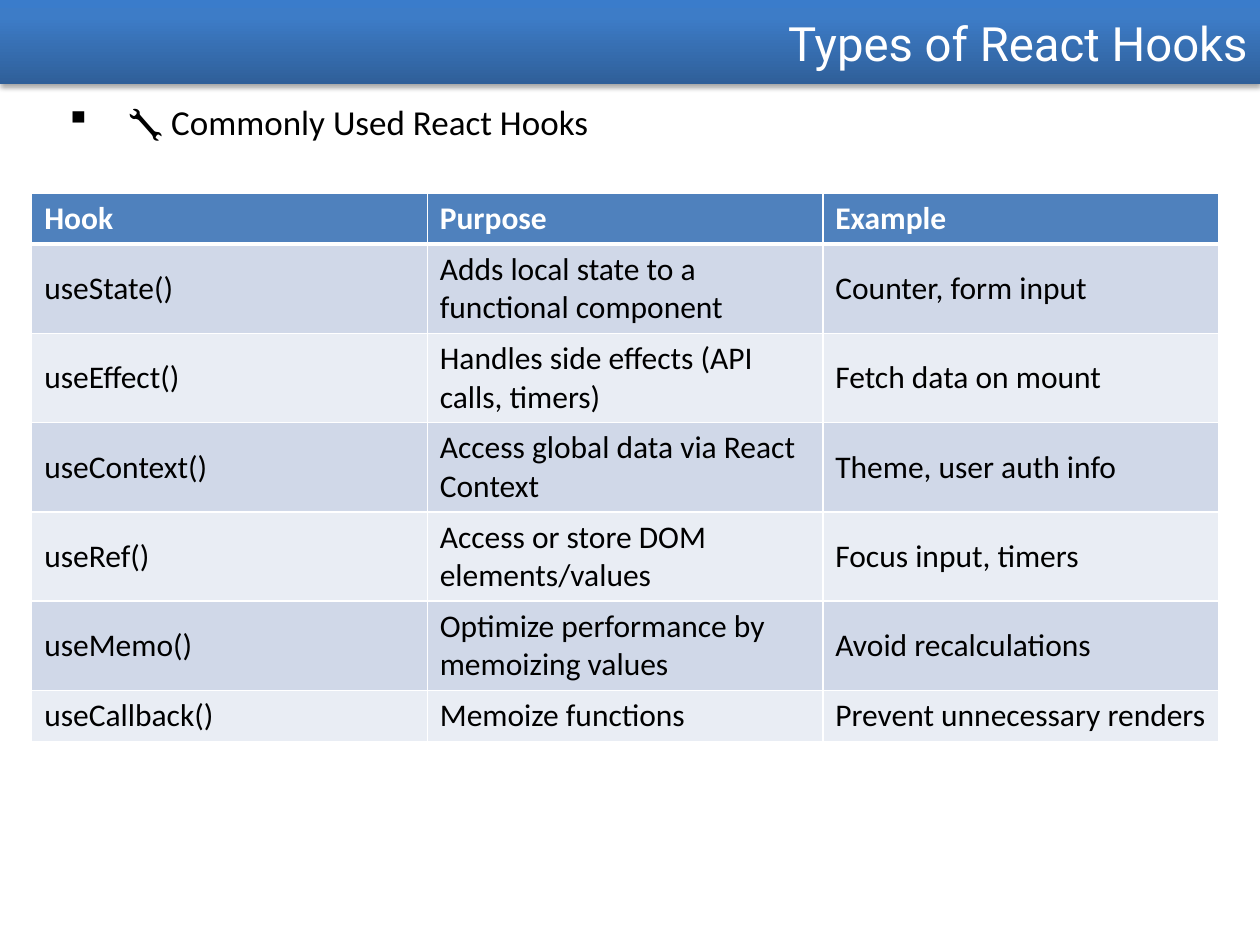
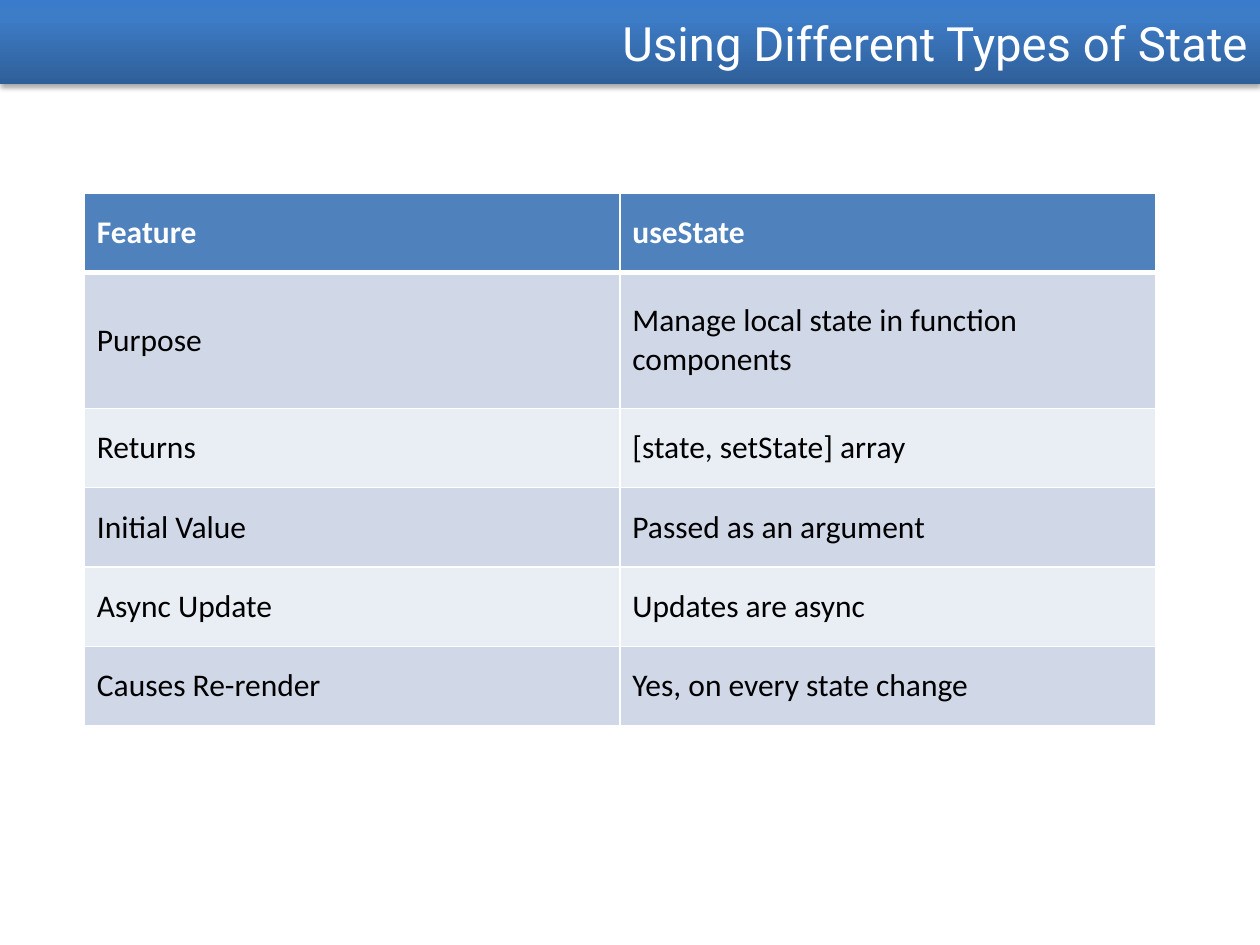
from dataclasses import dataclass

from lxml.etree import SubElement
from pptx import Presentation
from pptx.dml.color import RGBColor
from pptx.enum.shapes import MSO_SHAPE
from pptx.enum.text import MSO_ANCHOR, PP_ALIGN
from pptx.oxml import parse_xml
from pptx.oxml.ns import nsdecls, qn
from pptx.slide import Slide
from pptx.table import _Cell
from pptx.text.text import _Paragraph
from pptx.util import Cm, Pt

# Shared look
WHITE, BLACK = "FFFFFF", "000000"
HEADER_FILL = "4F81BD"
BAND_FILLS = ("D0D8E8", "E9EDF4")
TITLE_GRADIENT = ((0, "2F5F99"), (80, "3D7CC7"), (100, "3A7CCB"))
TITLE_FONT, BODY_FONT = "Roboto", "Calibri"
PAGE_WIDTH, PAGE_HEIGHT = Cm(25.4), Cm(19.05)
TABLE_TOP = Cm(3.89)
THIN, THICK = Pt(1), Pt(3)


@dataclass
class Grid:
    left: float
    width: float
    row_heights: list[float]
    rows: list[tuple[str, ...]]


@dataclass
class Page:
    title: str
    grid: Grid
    bullet: str = ""


PAGES = [
    Page(
        "Types of React Hooks",
        Grid(0.64, 23.92, [1.03] + [1.8] * 5 + [1.03], [
            ("Hook", "Purpose", "Example"),
            ("useState()", "Adds local state to a functional component", "Counter, form input"),
            ("useEffect()", "Handles side effects (API calls, timers)", "Fetch data on mount"),
            ("useContext()", "Access global data via React Context", "Theme, user auth info"),
            ("useRef()", "Access or store DOM elements/values", "Focus input, timers"),
            ("useMemo()", "Optimize performance by memoizing values", "Avoid recalculations"),
            ("useCallback()", "Memoize functions", "Prevent unnecessary renders"),
        ]),
        bullet="🔧 Commonly Used React Hooks",
    ),
    Page(
        "Using Different Types of State",
        Grid(1.7, 21.59, [1.6, 2.74] + [1.6] * 4, [
            ("Feature", "useState"),
            ("Purpose", "Manage local state in function components"),
            ("Returns", "[state, setState] array"),
            ("Initial Value", "Passed as an argument"),
            ("Async Update", "Updates are async"),
            ("Causes Re-render", "Yes, on every state change"),
        ]),
    ),
]


def color(value: str) -> RGBColor:
    return RGBColor.from_string(value)


def write(para: _Paragraph, text: str, font: str, size: float, ink: str, bold: bool = False) -> None:
    para.text = text
    para.font.name = font
    para.font.size = Pt(size)
    para.font.color.rgb = color(ink)
    para.font.bold = bold


def add_title_band(page: Slide, title: str) -> None:
    band = page.shapes.add_shape(MSO_SHAPE.RECTANGLE, 0, 0, PAGE_WIDTH, Cm(1.7))
    band.line.fill.background()
    band.shadow.inherit = False

    # Three-stop gradient, dark at the bottom, and a soft shadow below
    stops = "".join(
        f'<a:gs pos="{position * 1000}"><a:srgbClr val="{value}"/></a:gs>'
        for position, value in TITLE_GRADIENT
    )
    properties = band.element.spPr
    properties.find(qn("a:ln")).addprevious(parse_xml(
        f'<a:gradFill {nsdecls("a")} rotWithShape="1"><a:gsLst>{stops}</a:gsLst>'
        '<a:lin ang="16200000" scaled="0"/></a:gradFill>'
    ))
    properties.find(qn("a:effectLst")).append(parse_xml(
        f'<a:outerShdw {nsdecls("a")} blurRad="{Pt(3.1)}" dist="{Pt(1.8)}" dir="5400000"'
        f' rotWithShape="0"><a:srgbClr val="{BLACK}"><a:alpha val="35000"/></a:srgbClr>'
        '</a:outerShdw>'
    ))

    band.text_frame.vertical_anchor = MSO_ANCHOR.MIDDLE
    para = band.text_frame.paragraphs[0]
    para.alignment = PP_ALIGN.RIGHT
    write(para, title, TITLE_FONT, 27, WHITE)


def add_bullet(page: Slide, text: str) -> None:
    box = page.shapes.add_textbox(Cm(1.07), Cm(1.9), Cm(23.5), Cm(16.3))
    box.text_frame.word_wrap = True
    para = box.text_frame.paragraphs[0]
    write(para, text, BODY_FONT, 20, BLACK)
    para.space_after = Pt(12)
    properties = para._p.get_or_add_pPr()
    properties.set("marL", str(Cm(1.27)))
    properties.set("indent", str(-Cm(1.27)))
    mark = parse_xml(f'<a:buChar {nsdecls("a")} char="▪"/>')
    properties.find(qn("a:defRPr")).addprevious(mark)


def set_borders(cell: _Cell, top: int, bottom: int) -> None:
    properties = cell._tc.get_or_add_tcPr()
    widths = {"lnL": THIN, "lnR": THIN, "lnT": top, "lnB": bottom}
    for side, width in widths.items():
        line = SubElement(properties, qn(f"a:{side}"), w=str(width))
        fill = SubElement(line, qn("a:solidFill"))
        SubElement(fill, qn("a:srgbClr"), val=WHITE)


def add_grid(page: Slide, grid: Grid) -> None:
    columns = len(grid.rows[0])
    table = page.shapes.add_table(
        len(grid.rows), columns, Cm(grid.left), TABLE_TOP,
        Cm(grid.width), Cm(sum(grid.row_heights)),
    ).table
    table.horz_banding = False
    for row, height in zip(table.rows, grid.row_heights):
        row.height = Cm(height)

    for row_index, texts in enumerate(grid.rows):
        header = row_index == 0
        fill = HEADER_FILL if header else BAND_FILLS[(row_index - 1) % 2]
        for column_index, text in enumerate(texts):
            cell = table.cell(row_index, column_index)
            cell.vertical_anchor = MSO_ANCHOR.MIDDLE
            set_borders(cell, THICK if row_index == 1 else THIN, THICK if header else THIN)
            cell.fill.solid()
            cell.fill.fore_color.rgb = color(fill)
            write(cell.text_frame.paragraphs[0], text, BODY_FONT, 18,
                  WHITE if header else BLACK, header)


def main() -> None:
    deck = Presentation()
    deck.slide_width, deck.slide_height = PAGE_WIDTH, PAGE_HEIGHT
    for content in PAGES:
        page = deck.slides.add_slide(deck.slide_layouts[6])
        add_title_band(page, content.title)
        if content.bullet:
            add_bullet(page, content.bullet)
        add_grid(page, content.grid)
    deck.save("out.pptx")


if __name__ == "__main__":
    main()
